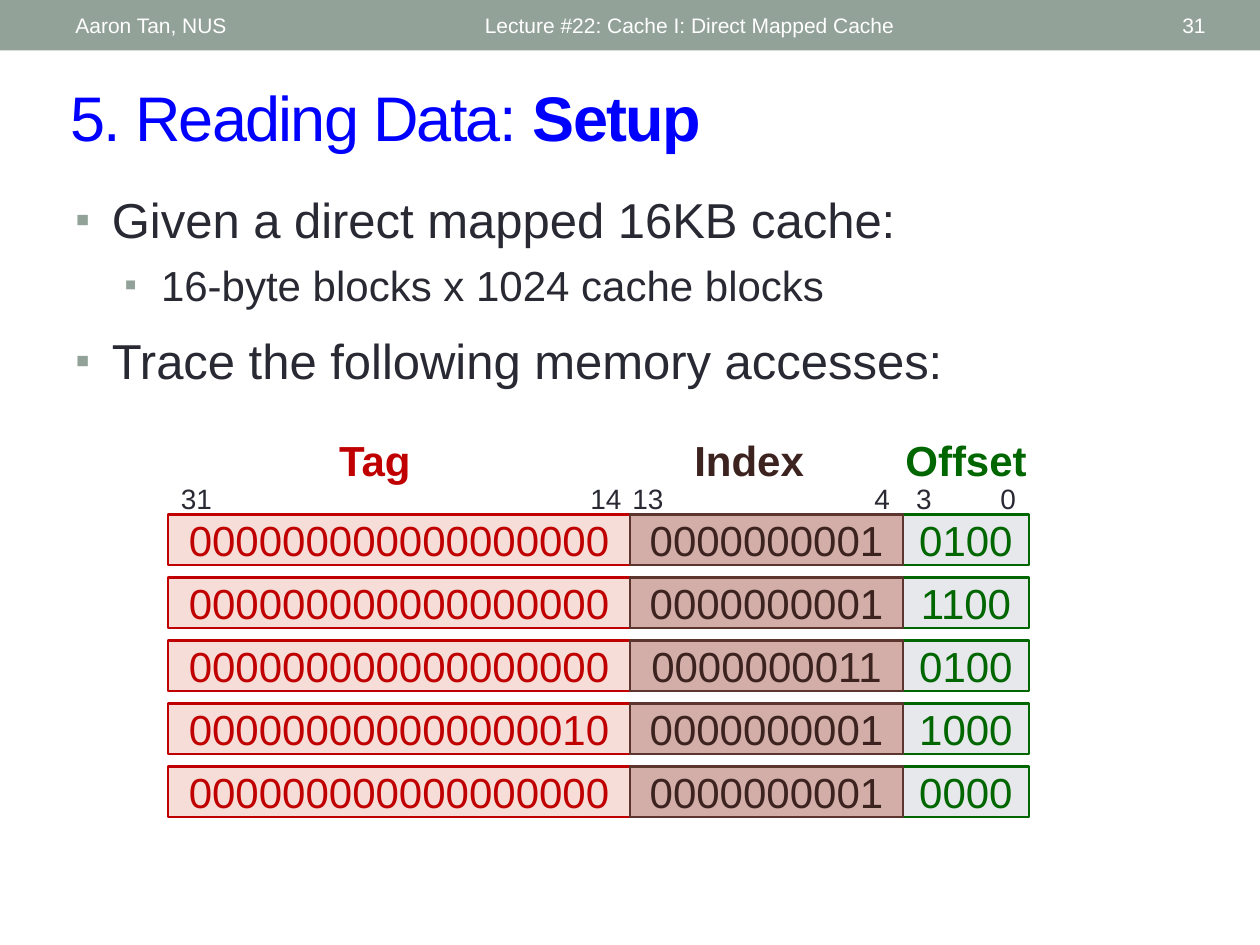
import pptx
import pptx.util
import pptx.dml.color
import pptx.enum.shapes
import pptx.enum.text
import lxml.etree
from pptx.oxml.ns import qn

RGBColor = pptx.dml.color.RGBColor
ALIGN = pptx.enum.text.PP_ALIGN
ANCHOR = pptx.enum.text.MSO_ANCHOR
RECTANGLE = pptx.enum.shapes.MSO_SHAPE.RECTANGLE

WHITE = RGBColor(0xFF, 0xFF, 0xFF)
SAGE = RGBColor(0x93, 0xA2, 0x99)
BLUE = RGBColor(0x00, 0x00, 0xFF)
INK = RGBColor(0x29, 0x29, 0x34)
RED = RGBColor(0xC0, 0x00, 0x00)
PINK = RGBColor(0xF6, 0xDD, 0xD8)
DARK_BROWN = RGBColor(0x3C, 0x23, 0x1F)
BROWN = RGBColor(0x5B, 0x35, 0x2E)
TAN = RGBColor(0xD3, 0xAE, 0xA8)
GREEN = RGBColor(0x00, 0x66, 0x00)
PALE_GREY = RGBColor(0xE6, 0xE8, 0xEC)

presentation = pptx.Presentation()
presentation.slide_width = pptx.util.Inches(10)
presentation.slide_height = pptx.util.Inches(7.5)
slide = presentation.slides.add_slide(presentation.slide_layouts[5])

# Square grid: 120 columns by 90 rows
UNIT = presentation.slide_width / 120


def add_run(paragraph, text, size, color, bold=False):
    run = paragraph.add_run()
    run.text = text
    run.font.name = "Arial"
    run.font.size = pptx.util.Pt(size)
    run.font.color.rgb = color
    run.font.bold = bold
    return run


def add_box(column, row, columns, rows, fill=None, line=None,
            anchor=ANCHOR.MIDDLE, align=ALIGN.CENTER, wrap=True):
    """Add a text box, or a rectangle if a fill is given."""
    place = [round(length * UNIT) for length in (column, row, columns, rows)]
    if fill is None:
        shape = slide.shapes.add_textbox(*place)
    else:
        shape = slide.shapes.add_shape(RECTANGLE, *place)
        shape.shadow.inherit = False
        shape.fill.solid()
        shape.fill.fore_color.rgb = fill
        if line is None:
            shape.line.fill.background()
        else:
            shape.line.color.rgb = line
            shape.line.width = pptx.util.Pt(1.5)
    shape.text_frame.word_wrap = wrap
    shape.text_frame.vertical_anchor = anchor
    shape.text_frame.paragraphs[0].alignment = align
    return shape


# Header band
add_box(0, 0, 120, 4.8, fill=SAGE)
for text, column, columns, align in [
    ("Lecture #22: Cache I: Direct Mapped Cache", 45, 54, ALIGN.LEFT),
    ("31", 104.6, 11.4, ALIGN.RIGHT),
    ("Aaron Tan, NUS", 6, 38, ALIGN.LEFT),
]:
    shape = add_box(column, 0.25, columns, 4.3, align=align)
    add_run(shape.text_frame.paragraphs[0], text, 12, WHITE)

# Title
title = slide.shapes.title
title.left, title.top, title.width, title.height = [
    round(length * UNIT) for length in (5.5, 6.85, 110.5, 8.4)]
title.text_frame.auto_size = pptx.enum.text.MSO_AUTO_SIZE.NONE
title.text_frame.vertical_anchor = ANCHOR.MIDDLE
paragraph = title.text_frame.paragraphs[0]
paragraph.alignment = ALIGN.LEFT
for text, bold in [("5. Reading Data: ", False), ("Setup", True)]:
    run = add_run(paragraph, text, 36, BLUE, bold)
    run.font._element.set("spc", "-100")

# Bulleted text
body = add_box(6, 17.5, 108, 23.5, anchor=ANCHOR.TOP)
for number, (text, level, size, space, margin) in enumerate([
    ("Given a direct mapped 16KB cache:", 0, 28, 6, 0.29),
    ("16-byte blocks x 1024 cache blocks", 1, 24, 6, 0.68),
    ("Trace the following memory accesses:", 0, 28, 12, 0.29),
]):
    frame = body.text_frame
    paragraph = frame.add_paragraph() if number else frame.paragraphs[0]
    paragraph.alignment = ALIGN.LEFT
    paragraph.level = level
    paragraph.space_before = pptx.util.Pt(space)
    properties = paragraph._p.get_or_add_pPr()
    properties.set("marL", str(pptx.util.Inches(margin)))
    properties.set("indent", str(pptx.util.Inches(-0.29)))
    bullet_color = lxml.etree.SubElement(properties, qn("a:buClr"))
    lxml.etree.SubElement(bullet_color, qn("a:srgbClr"), val=str(SAGE))
    lxml.etree.SubElement(properties, qn("a:buSzPct"), val="85000")
    lxml.etree.SubElement(properties, qn("a:buFont"), typeface="Arial")
    lxml.etree.SubElement(properties, qn("a:buChar"), char="▪")
    add_run(paragraph, text, size, INK)

# Address fields: name, name column and width, field column and width,
# text, fill and line colours, and the bits of each memory access
fields = [
    ("Tag", 30, 11.4, 16, 44, RED, PINK, RED,
     ["0" * 18, "0" * 18, "0" * 18, "0" * 16 + "10", "0" * 18]),
    ("Offset", 85, 14, 86, 12, GREEN, PALE_GREY, GREEN,
     ["0100", "1100", "0100", "1000", "0000"]),
    ("Index", 64.8, 13.1, 60, 26, DARK_BROWN, TAN, BROWN,
     ["0000000001", "0000000001", "0000000011", "0000000001", "0000000001"]),
]
for (name, name_column, name_columns, column, columns,
     color, fill, line, accesses) in fields:
    shape = add_box(name_column, 40.8, name_columns, 6, anchor=ANCHOR.TOP)
    add_run(shape.text_frame.paragraphs[0], name, 24, color, True)
    for number, bits in enumerate(accesses):
        shape = add_box(column, 49 + 6 * number, columns, 4.8, fill, line)
        add_run(shape.text_frame.paragraphs[0], bits, 24, color)

# Bit positions above the fields
for text, column, columns in [
    ("31", 16, 5.4), ("14", 55, 5.4), ("13", 59, 5.4),
    ("4", 82, 4), ("3", 86, 4), ("0", 94, 4),
]:
    shape = add_box(column, 45.25, columns, 4.4, anchor=ANCHOR.TOP, wrap=False)
    add_run(shape.text_frame.paragraphs[0], text, 16, INK)

presentation.save("out.pptx")
